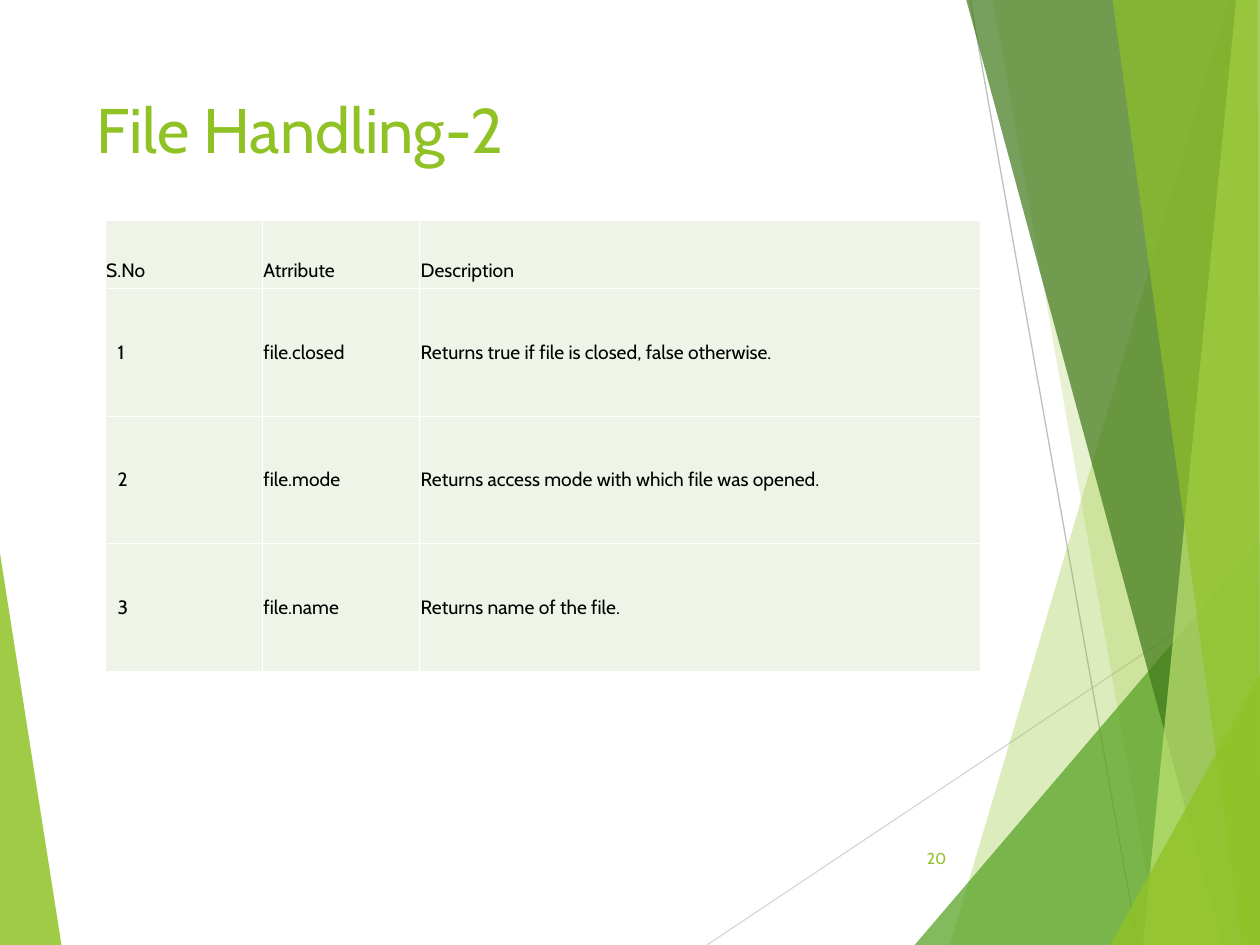
from dataclasses import dataclass

import lxml.etree
import pptx
import pptx.dml.color
import pptx.enum.shapes
import pptx.enum.text
import pptx.oxml
import pptx.oxml.ns
import pptx.util

Cm = pptx.util.Cm
Pt = pptx.util.Pt
Anchor = pptx.enum.text.MSO_ANCHOR
Align = pptx.enum.text.PP_ALIGN

FONT = "Cabin"
COLORS = {
    "lime": "90C226",
    "green": "54A021",
    "forest": "3F7819",
    "pale_lime": "C0E474",
    "light_gray": "D9D9D9",
    "gray": "BFBFBF",
    "cell": "EEF4E8",
    "border": "FFFFFF",
    "text": "000000",
}
WIDTH, HEIGHT = 25.4, 19.05


@dataclass
class Facet:
    points: list[tuple[float, float]]
    color: str
    opacity: int


@dataclass
class Ray:
    start: tuple[float, float]
    end: tuple[float, float]
    color: str


@dataclass
class Label:
    text: str
    box: tuple[float, float, float, float]
    size: float
    anchor: Anchor
    alignment: Align


LEFT_FACET = Facet([(0, 11.15), (1.24, HEIGHT), (0, HEIGHT)], "lime", 85)
RAYS = [
    Ray((14.25, HEIGHT), (WIDTH, 11.61), "light_gray"),
    Ray((19.56, 0), (22.94, HEIGHT), "gray"),
]
RIGHT_FACETS = [
    Facet([(24.77, 0), (19.15, HEIGHT), (WIDTH, HEIGHT), (WIDTH, 0)], "lime", 30),
    Facet([(20.02, 0), (23.37, HEIGHT), (WIDTH, HEIGHT), (WIDTH, 0)], "lime", 20),
    Facet([(18.44, HEIGHT), (WIDTH, 10.9), (WIDTH, HEIGHT)], "green", 72),
    Facet([(19.48, 0), (24.64, HEIGHT), (WIDTH, HEIGHT), (WIDTH, 0)], "forest", 70),
    Facet([(24.92, 0), (23.04, HEIGHT), (WIDTH, HEIGHT), (WIDTH, 0)], "pale_lime", 70),
    Facet([(22.43, 0), (25.04, HEIGHT), (WIDTH, HEIGHT), (25.35, 0)], "lime", 65),
    Facet([(22.38, HEIGHT), (WIDTH, 13.6), (WIDTH, HEIGHT)], "lime", 80),
]
LABELS = [
    Label("File Handling-2", (1.7, 1.7, 17.63, 2.34), 36, Anchor.TOP, Align.LEFT),
    Label("20", (17.91, 16.79, 1.42, 1.02), 9, Anchor.MIDDLE, Align.RIGHT),
]
COLUMN_WIDTHS = [3.17, 3.17, 11.3]
ROW_HEIGHTS = [1.37, 2.57, 2.57, 2.57]
ROWS = [
    ("S.No", "Atrribute", "Description"),
    ("1", "file.closed", "Returns true if file is closed, false otherwise."),
    ("2", "file.mode", "Returns access mode with which file was opened."),
    ("3", "file.name", "Returns name of the file. "),
]


def rgb(name: str) -> pptx.dml.color.RGBColor:
    return pptx.dml.color.RGBColor.from_string(COLORS[name])


def format_text(paragraph, size: float, color: str, alignment: Align) -> None:
    paragraph.alignment = alignment
    for run in paragraph.runs:
        run.font.name = FONT
        run.font.size = Pt(size)
        run.font.bold = False
        run.font.color.rgb = rgb(color)


def draw_facet(slide, facet: Facet) -> None:
    start, *others = [(Cm(x), Cm(y)) for x, y in facet.points]
    builder = slide.shapes.build_freeform(*start)
    builder.add_line_segments(others)
    shape = builder.convert_to_shape()
    shape.shadow.inherit = False
    shape.line.fill.background()
    shape.fill.solid()
    shape.fill.fore_color.rgb = rgb(facet.color)
    color_element = shape.fill._xPr.find(".//" + pptx.oxml.ns.qn("a:srgbClr"))
    alpha = lxml.etree.SubElement(color_element, pptx.oxml.ns.qn("a:alpha"))
    alpha.set("val", str(facet.opacity * 1000))


def draw_ray(slide, ray: Ray) -> None:
    connector = slide.shapes.add_connector(
        pptx.enum.shapes.MSO_CONNECTOR.STRAIGHT,
        *(Cm(value) for value in ray.start + ray.end),
    )
    connector.line.color.rgb = rgb(ray.color)
    connector.line.width = Pt(0.75)
    properties = connector._element.spPr
    lxml.etree.SubElement(properties, pptx.oxml.ns.qn("a:effectLst"))


def draw_label(slide, label: Label) -> None:
    shape = slide.shapes.add_textbox(*(Cm(value) for value in label.box))
    text_frame = shape.text_frame
    text_frame.word_wrap = True
    text_frame.vertical_anchor = label.anchor
    text_frame.text = label.text
    format_text(text_frame.paragraphs[0], label.size, "lime", label.alignment)


def add_borders(cell) -> None:
    properties = cell._tc.get_or_add_tcPr()
    for side in ("lnL", "lnR", "lnT", "lnB"):
        line = lxml.etree.SubElement(properties, pptx.oxml.ns.qn(f"a:{side}"))
        line.set("w", str(Pt(0.45)))
        fill = lxml.etree.SubElement(line, pptx.oxml.ns.qn("a:solidFill"))
        color = lxml.etree.SubElement(fill, pptx.oxml.ns.qn("a:srgbClr"))
        color.set("val", COLORS["border"])


def draw_table(slide) -> None:
    frame = slide.shapes.add_table(
        len(ROWS), len(COLUMN_WIDTHS), Cm(2.12), Cm(4.45),
        Cm(sum(COLUMN_WIDTHS)), Cm(sum(ROW_HEIGHTS)),
    )
    table = frame.table
    table.first_row = False
    table.horz_banding = False
    for column, width in zip(table.columns, COLUMN_WIDTHS):
        column.width = Cm(width)
    for row, height in zip(table.rows, ROW_HEIGHTS):
        row.height = Cm(height)
    for row_index, texts in enumerate(ROWS):
        for column_index, text in enumerate(texts):
            is_header = row_index == 0
            is_number = column_index == 0 and not is_header
            is_body_text = column_index > 0 and not is_header
            cell = table.cell(row_index, column_index)
            add_borders(cell)
            cell.fill.solid()
            cell.fill.fore_color.rgb = rgb("cell")
            cell.vertical_anchor = Anchor.BOTTOM if is_header else Anchor.MIDDLE
            cell.margin_left = Cm(0.25 if is_number else 0.02)
            cell.margin_right = Cm(0.02)
            cell.text_frame.text = text
            alignment = Align.JUSTIFY if is_body_text else Align.LEFT
            format_text(cell.text_frame.paragraphs[0], 11, "text", alignment)


def main() -> None:
    presentation = pptx.Presentation()
    presentation.slide_width = Cm(WIDTH)
    presentation.slide_height = Cm(HEIGHT)
    slide = presentation.slides.add_slide(presentation.slide_layouts[6])
    draw_facet(slide, LEFT_FACET)
    for ray in RAYS:
        draw_ray(slide, ray)
    for facet in RIGHT_FACETS:
        draw_facet(slide, facet)
    draw_table(slide)
    for label in LABELS:
        draw_label(slide, label)
    presentation.save("out.pptx")


if __name__ == "__main__":
    main()
